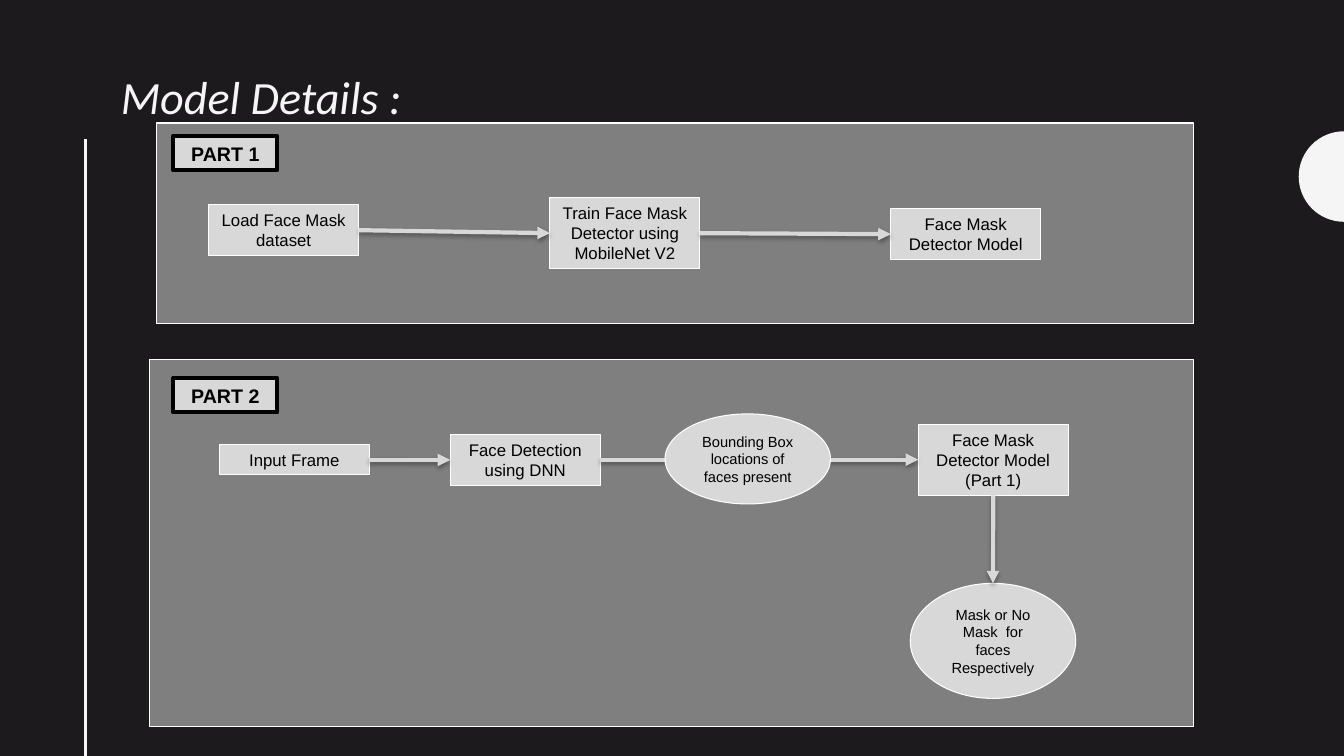
import math
from dataclasses import dataclass
from typing import Any

from lxml import etree
from pptx import Presentation
from pptx import util as u
from pptx.dml.color import RGBColor
from pptx.enum import shapes, text
from pptx.oxml import ns

DARK, LIGHT, WHITE, BLACK = "1D1A1D", "F5F5F5", "FFFFFF", "000000"
PANEL_GREY, BOX_GREY = "7F7F7F", "D8D8D8"
RECTANGLE, OVAL = shapes.MSO_SHAPE.RECTANGLE, shapes.MSO_SHAPE.OVAL
STRAIGHT, ELBOW = shapes.MSO_CONNECTOR.STRAIGHT, shapes.MSO_CONNECTOR.ELBOW
TOP, LEFT, BOTTOM, RIGHT = range(4)
BOX_WIDTH, OVAL_WIDTH = 3.78, 4.17


@dataclass
class Node:
    name: str
    left: float
    top: float
    width: float
    height: float
    words: str = ""
    kind: Any = RECTANGLE
    size: float = 12
    bold: bool = False
    fill: str = BOX_GREY
    line: str = WHITE
    line_width: float = 0.75


@dataclass
class Arrow:
    start: str
    end: str
    kind: Any = STRAIGHT
    start_side: int = RIGHT
    end_side: int = LEFT


def label(words: str, top: float) -> Node:
    return Node(words, 4.37, top, 2.62, 0.86, words, size=14, bold=True,
                line=BLACK, line_width=3)


# Listed from back to front
DIAGRAM = [
    Node("panel 1", 3.94, 3.1, 26.14, 5.05, fill=PANEL_GREY),
    Node("panel 2", 3.78, 9.07, 26.31, 9.25, fill=PANEL_GREY),
    Node("load", 5.26, 5.16, BOX_WIDTH, 1.28, "Load Face Mask dataset"),
    Node("train", 13.86, 4.98, BOX_WIDTH, 1.79,
         "Train Face Mask Detector using MobileNet V2"),
    Node("model", 22.45, 5.26, BOX_WIDTH, 1.28, "Face Mask Detector Model"),
    Arrow("load", "train"),
    Arrow("train", "model"),
    Node("input", 5.53, 11.2, BOX_WIDTH, 0.77, "Input Frame"),
    Node("detection", 11.35, 10.95, BOX_WIDTH, 1.28, "Face Detection using DNN"),
    Node("part 1 model", 23.14, 10.69, BOX_WIDTH, 1.79,
         "Face Mask Detector Model\n(Part 1)"),
    Arrow("input", "detection", ELBOW),
    Arrow("detection", "part 1 model", ELBOW),
    Node("locations", 16.76, 10.43, OVAL_WIDTH, 2.27,
         "Bounding Box locations of faces present", OVAL, 10.5),
    Node("result", 22.94, 14.7, OVAL_WIDTH, 2.9,
         "Mask or No Mask  for faces Respectively", OVAL, 10.5),
    Arrow("part 1 model", "result", STRAIGHT, BOTTOM, TOP),
    label("PART 1", 3.43),
    label("PART 2", 9.53),
]


def paint(target: Any, colour: str) -> None:
    """Give a fill or line format a solid colour."""
    fill = getattr(target, "fill", target)
    fill.solid()
    fill.fore_color.rgb = RGBColor.from_string(colour)


def apply(target: Any, values: dict[str, Any]) -> None:
    for name, value in values.items():
        setattr(target, name, value)


def format_font(font: Any, colour: str, values: dict[str, Any]) -> None:
    apply(font, values)
    paint(font, colour)


def draw_node(slide: Any, node: Node) -> Any:
    box = map(u.Cm, (node.left, node.top, node.width, node.height))
    shape = slide.shapes.add_shape(node.kind, *box)
    shape.shadow.inherit = False
    paint(shape.fill, node.fill)
    paint(shape.line, node.line)
    shape.line.width = u.Pt(node.line_width)
    if node.words:
        frame = shape.text_frame
        frame.text = node.words
        frame.word_wrap = True
        if node.kind == RECTANGLE:
            frame.auto_size = text.MSO_AUTO_SIZE.SHAPE_TO_FIT_TEXT
        for paragraph in frame.paragraphs:
            paragraph.alignment = text.PP_ALIGN.CENTER
            format_font(paragraph.runs[0].font, BLACK,
                        {"name": "Arial", "size": u.Pt(node.size), "bold": node.bold})
    return shape


def draw_line(slide: Any, kind: Any, ends: tuple, colour: str, width: float) -> Any:
    """Add a connector with an empty effect list."""
    connector = slide.shapes.add_connector(kind, *map(u.Cm, ends))
    paint(connector.line, colour)
    connector.line.width = u.Pt(width)
    etree.SubElement(connector._element.spPr, ns.qn("a:effectLst"))
    return connector


def draw_arrow(slide: Any, arrow: Arrow, drawn: dict[str, Any]) -> None:
    connector = draw_line(slide, arrow.kind, (0, 0, 0, 0), BOX_GREY, 3)
    connector.begin_connect(drawn[arrow.start], arrow.start_side)
    connector.end_connect(drawn[arrow.end], arrow.end_side)
    properties = connector._element.spPr
    etree.SubElement(properties.find(ns.qn("a:ln")), ns.qn("a:tailEnd"), type="triangle")
    # Soft shadow straight below the arrow
    shadow = etree.SubElement(
        properties.find(ns.qn("a:effectLst")), ns.qn("a:outerShdw"),
        blurRad="40000", dist="23000", dir="5400000", rotWithShape="0")
    colour = etree.SubElement(shadow, ns.qn("a:srgbClr"), val=BLACK)
    etree.SubElement(colour, ns.qn("a:alpha"), val="35000")


def draw_half_disc(slide: Any, centre_x: float, centre_y: float, radius: float) -> None:
    steps = 32
    angles = [math.pi * (0.5 + step / steps) for step in range(steps + 1)]
    points = [(u.Cm(centre_x + radius * math.cos(angle)),
               u.Cm(centre_y - radius * math.sin(angle))) for angle in angles]
    builder = slide.shapes.build_freeform(*points[0])
    builder.add_line_segments(points[1:], close=True)
    shape = builder.convert_to_shape()
    shape.shadow.inherit = False
    paint(shape.fill, LIGHT)
    shape.line.fill.background()


def draw_title(slide: Any) -> None:
    title = slide.shapes.title
    apply(title, {"left": u.Cm(2.79), "top": u.Cm(1.35),
                  "width": u.Cm(19.53), "height": u.Cm(1.96)})
    frame = title.text_frame
    frame.text = "Model Details :"
    apply(frame, {"word_wrap": True, "auto_size": text.MSO_AUTO_SIZE.NONE,
                  "vertical_anchor": text.MSO_ANCHOR.MIDDLE})
    paragraph = frame.paragraphs[0]
    apply(paragraph, {"alignment": text.PP_ALIGN.LEFT, "line_spacing": 1.14,
                      "space_before": u.Pt(0)})
    format_font(paragraph.runs[0].font, LIGHT,
                {"name": "Calibri", "size": u.Pt(33), "italic": True})


def main() -> None:
    presentation = Presentation()
    apply(presentation, {"slide_width": u.Cm(33.87), "slide_height": u.Cm(19.05)})
    slide = presentation.slides.add_slide(presentation.slide_layouts[5])
    paint(slide.background.fill, DARK)

    # Side decoration and title
    draw_line(slide, STRAIGHT, (2.16, 3.5, 2.16, 19.05), LIGHT, 2)
    draw_half_disc(slide, 33.87, 4.45, 1.14)
    draw_title(slide)

    # Panels, steps and arrows
    drawn: dict[str, Any] = {}
    for item in DIAGRAM:
        if isinstance(item, Node):
            drawn[item.name] = draw_node(slide, item)
        else:
            draw_arrow(slide, item, drawn)

    presentation.save("out.pptx")


if __name__ == "__main__":
    main()
